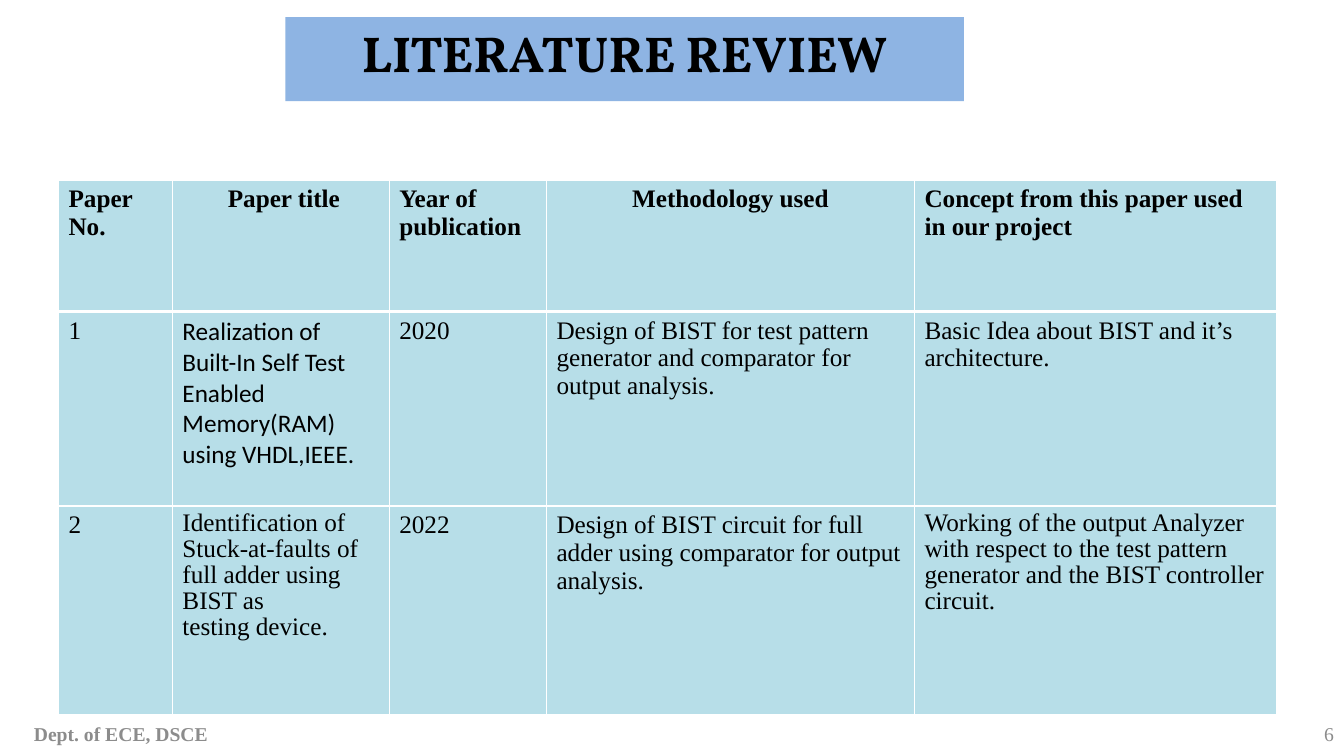
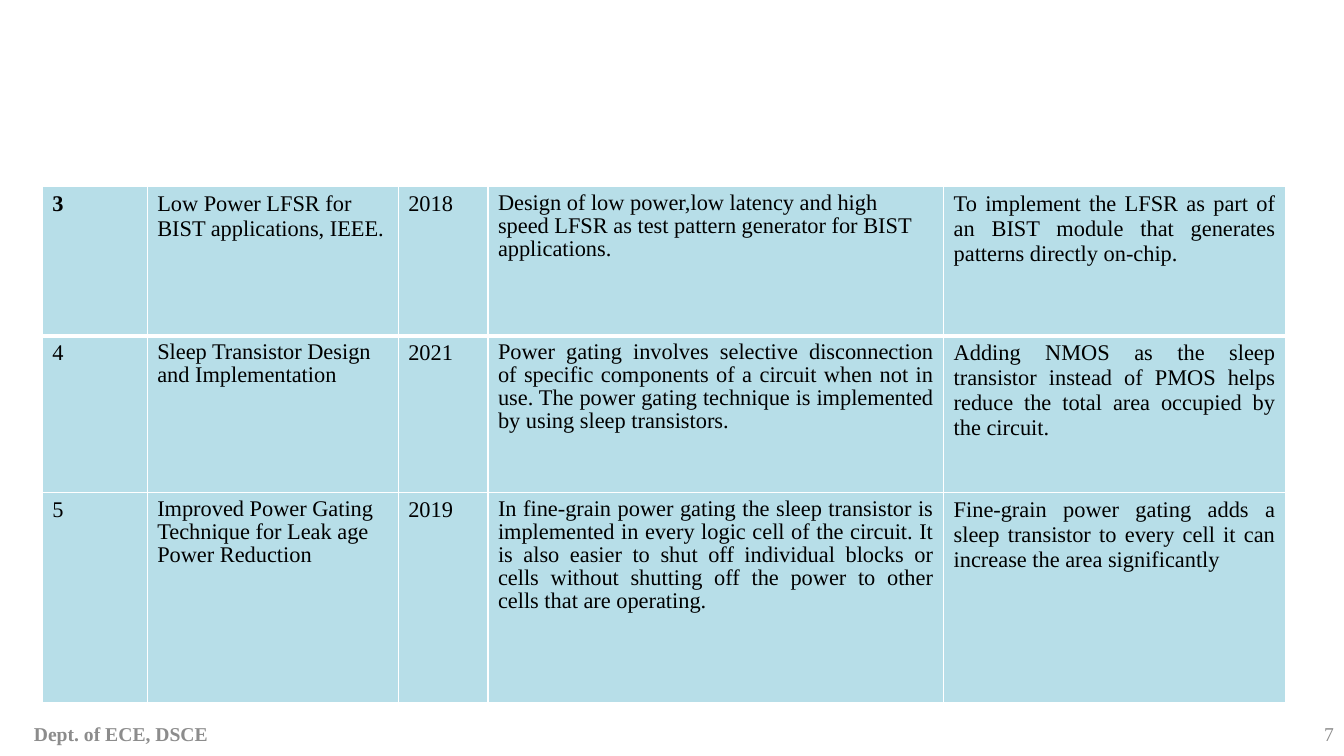
"""Build two literature review slides with tables of papers."""
from dataclasses import dataclass
from typing import Optional

from lxml import etree
from pptx import Presentation
from pptx import util as u
from pptx.dml.color import RGBColor
from pptx.enum import text
from pptx.oxml.ns import qn

AL = text.PP_ALIGN


def rgb(color):
    return RGBColor.from_string(color)


@dataclass
class Cell:
    text: str
    align: Optional[int] = None
    tight: bool = False
    bold: bool = False
    font: str = "Times New Roman"


def head(txt, align=None):
    return Cell(txt, align, bold=True)


def tight(txt, align=None):
    return Cell(txt, align, tight=True)


def justified(txt):
    return Cell(txt, AL.JUSTIFY)


class Deck:
    FONT, TITLE_FONT = "Times New Roman", "Vollkorn"
    INK, MUTED, WHITE = "000000", "8C8C8C", "FFFFFF"
    CELL_FILL, TITLE_FILL = "B7DEE8", "8EB4E3"
    TITLE_ONLY, BLANK = 5, 6

    def __init__(self):
        self.prs = Presentation()
        self.prs.slide_width = u.Inches(13.33)
        self.prs.slide_height = u.Inches(7.5)
        self.s = None

    def slide(self, number, title=None):
        layout = self.TITLE_ONLY if title else self.BLANK
        self.s = self.prs.slides.add_slide(self.prs.slide_layouts[layout])
        if title:
            self.title(title)
        self.footer(0, 2.4, "Dept. of ECE, DSCE", AL.CENTER, True)
        self.footer(12.83, 0.5, str(number), AL.RIGHT, False)

    def run(self, p, txt, size, color, bold=False, font=FONT):
        r = p.add_run()
        r.text = txt
        r.font.size, r.font.name, r.font.bold = u.Pt(size), font, bold
        r.font.color.rgb = rgb(color)

    def title(self, txt):
        sp = self.s.shapes.title
        sp.left, sp.top = u.Inches(2.83), u.Inches(0.17)
        sp.width, sp.height = u.Inches(6.73), u.Inches(0.71)
        sp.fill.solid()
        sp.fill.fore_color.rgb = rgb(self.TITLE_FILL)
        tf = sp.text_frame
        tf.auto_size = text.MSO_AUTO_SIZE.SHAPE_TO_FIT_TEXT
        tf.vertical_anchor = text.MSO_ANCHOR.TOP
        p = tf.paragraphs[0]
        p.alignment = AL.CENTER
        self.run(p, txt, 36, self.INK, True, self.TITLE_FONT)

    def footer(self, left, width, txt, align, bold):
        sp = self.s.shapes.add_textbox(
            u.Inches(left), u.Inches(7.08), u.Inches(width), u.Inches(0.4))
        tf = sp.text_frame
        tf.word_wrap = True
        tf.vertical_anchor = text.MSO_ANCHOR.MIDDLE
        p = tf.paragraphs[0]
        p.alignment = align
        self.run(p, txt, 14, self.MUTED, bold)

    def table(self, left, top, cols, heights, rows, size):
        frame = self.s.shapes.add_table(
            len(rows), len(cols), u.Inches(left), u.Inches(top),
            u.Inches(sum(cols)), u.Inches(sum(heights)))
        tbl = frame.table
        tbl.horz_banding = False
        for col, width in zip(tbl.columns, cols):
            col.width = u.Inches(width)
        for row, height in zip(tbl.rows, heights):
            row.height = u.Inches(height)
        for i, row in enumerate(rows):
            for j, content in enumerate(row):
                cell = tbl.cell(i, j)
                self.cell_text(cell, content, size)
                cell.fill.solid()
                cell.fill.fore_color.rgb = rgb(self.CELL_FILL)
                self.borders(cell, top=3 if i == 1 else 1,
                             bottom=3 if i == 0 else 1)

    def cell_text(self, cell, content, size):
        if isinstance(content, str):
            content = Cell(content)
        tf = cell.text_frame
        for k, line in enumerate(content.text.split("\n")):
            p = tf.add_paragraph() if k else tf.paragraphs[0]
            p.alignment = content.align
            if content.tight:
                p.line_spacing = 0.93
            self.run(p, line, size, self.INK, content.bold, content.font)

    def borders(self, cell, top, bottom):
        pr = cell._tc.get_or_add_tcPr()
        sides = (("L", 1), ("R", 1), ("T", top), ("B", bottom))
        for k, (side, width) in enumerate(sides):
            ln = etree.Element(qn(f"a:ln{side}"), w=str(u.Pt(width)))
            fill = etree.SubElement(ln, qn("a:solidFill"))
            etree.SubElement(fill, qn("a:srgbClr"), val=self.WHITE)
            pr.insert(k, ln)


def main():
    deck = Deck()

    deck.slide(6, "LITERATURE REVIEW")
    deck.table(0.58, 1.79, [1.13, 2.15, 1.56, 3.65, 3.59], [1.3, 1.93, 2.07], [
        [head("Paper No."),
         head(" Paper title", AL.CENTER),
         head("Year of\npublication"),
         head("Methodology used", AL.CENTER),
         head("Concept from this paper used in our project")],
        ["1",
         Cell("Realization of Built-In Self Test Enabled Memory(RAM) "
              "using VHDL,IEEE.", font="Calibri"),
         "2020",
         "Design of BIST for test pattern generator and comparator for "
         "output analysis.",
         "Basic Idea about BIST and it’s architecture."],
        ["2",
         tight("Identification of Stuck-at-faults of full adder using "
               "BIST as\ntesting device."),
         "2022",
         "Design of BIST circuit for full adder using comparator for "
         "output analysis.",
         tight("Working of the output Analyzer with respect to the test "
               "pattern generator and the BIST controller circuit.")],
    ], size=18)

    deck.slide(7)
    deck.table(0.42, 1.85, [1.04, 2.49, 0.89, 4.52, 3.39], [1.48, 1.56, 2.08], [
        [head("3"),
         "Low Power LFSR for BIST applications, IEEE.",
         "2018",
         tight("Design of low power,low latency and high speed LFSR as test "
               "pattern generator for BIST applications."),
         justified("To implement the LFSR as part of an BIST module that "
                   "generates patterns directly on-chip.")],
        ["4",
         tight("Sleep Transistor Design and Implementation"),
         "2021",
         tight("Power gating involves selective disconnection of specific "
               "components of a circuit when not in use. The power gating "
               "technique is implemented by using sleep transistors.",
               AL.JUSTIFY),
         justified("Adding NMOS as the sleep transistor instead of PMOS helps "
                   "reduce the total area occupied by the circuit.")],
        ["5",
         tight("Improved Power Gating Technique for Leak age Power Reduction"),
         "2019",
         tight("In fine-grain power gating the sleep transistor is "
               "implemented in every logic cell of the circuit. It is also "
               "easier to shut off individual blocks or cells without "
               "shutting off the power to other cells that are operating.",
               AL.JUSTIFY),
         justified("Fine-grain power gating adds a sleep transistor to every "
                   "cell it can increase the area significantly")],
    ], size=16)

    deck.prs.save("out.pptx")


if __name__ == "__main__":
    main()
